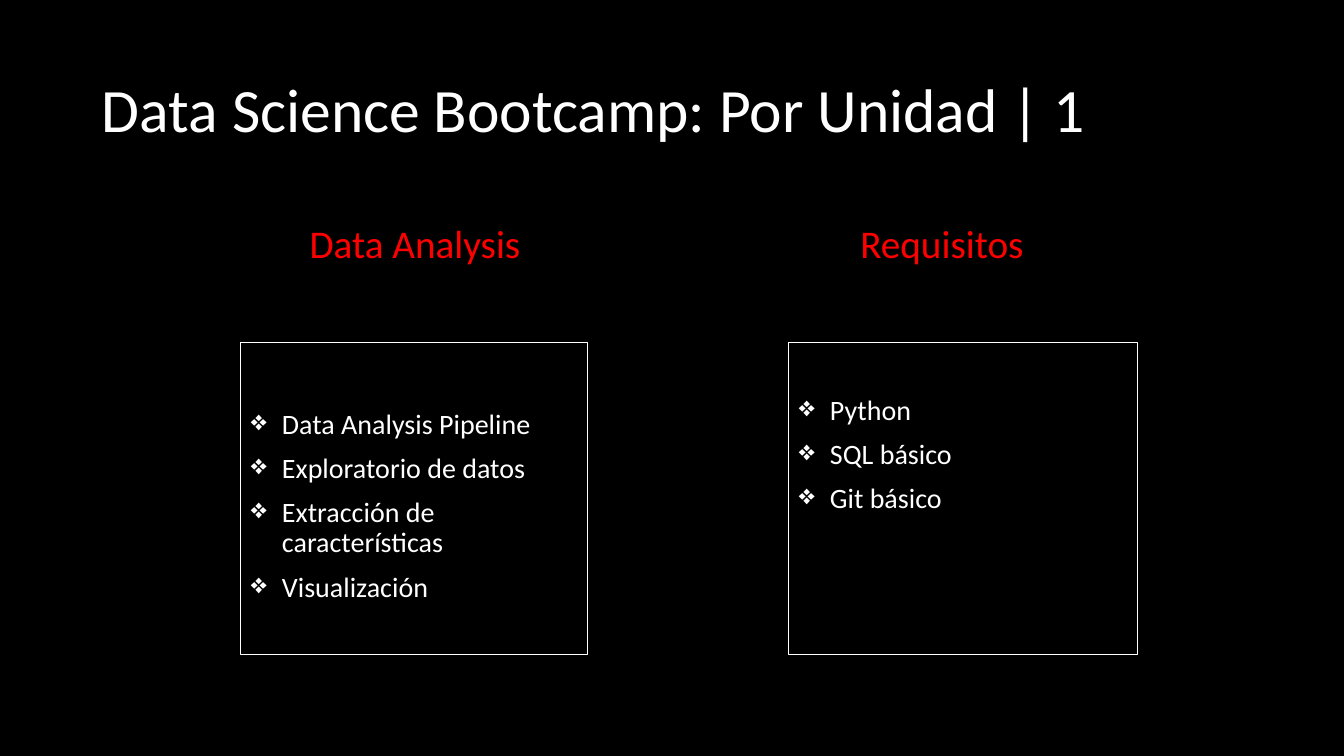
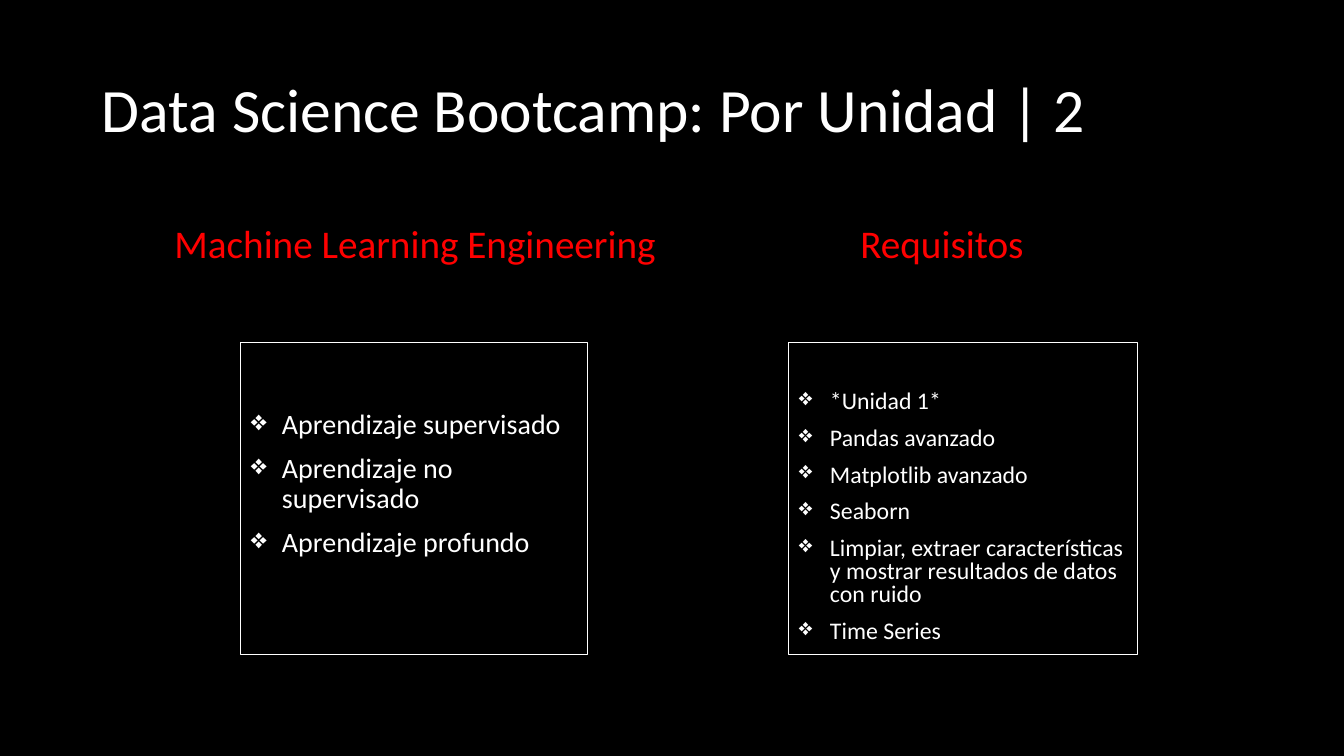
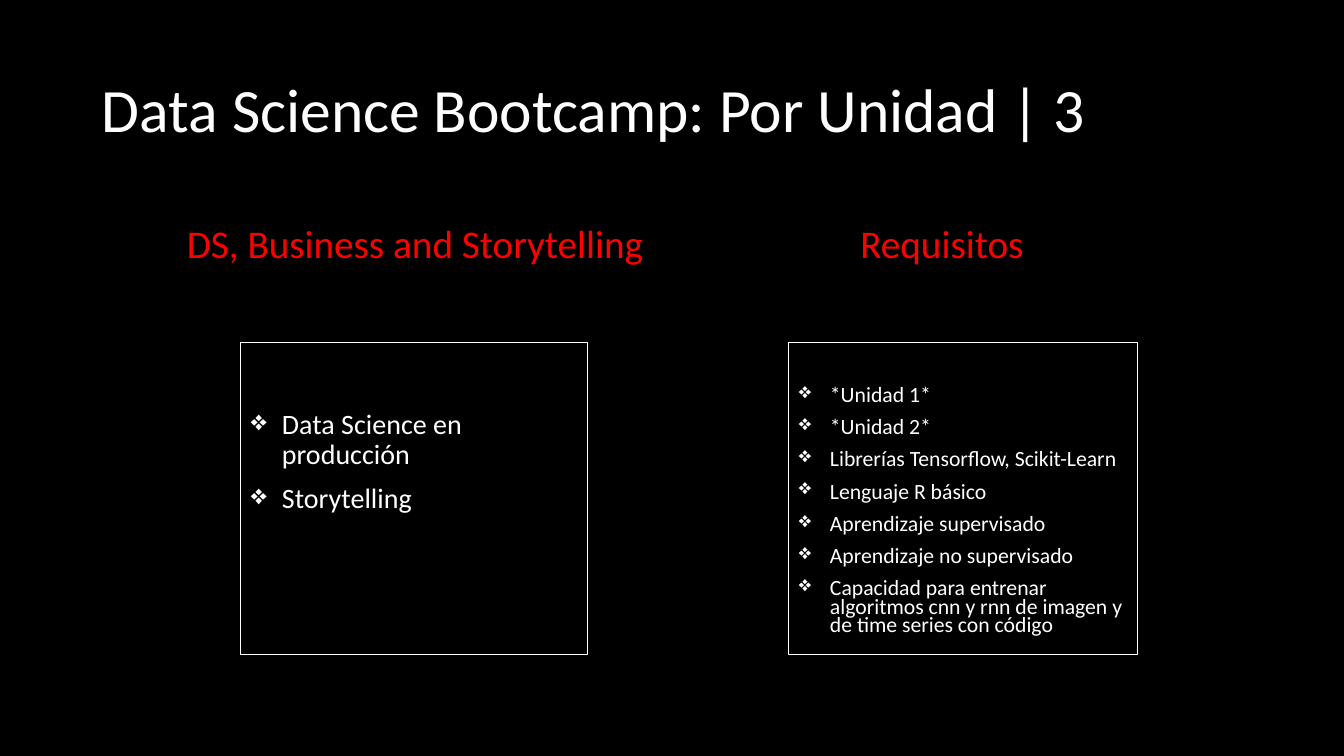
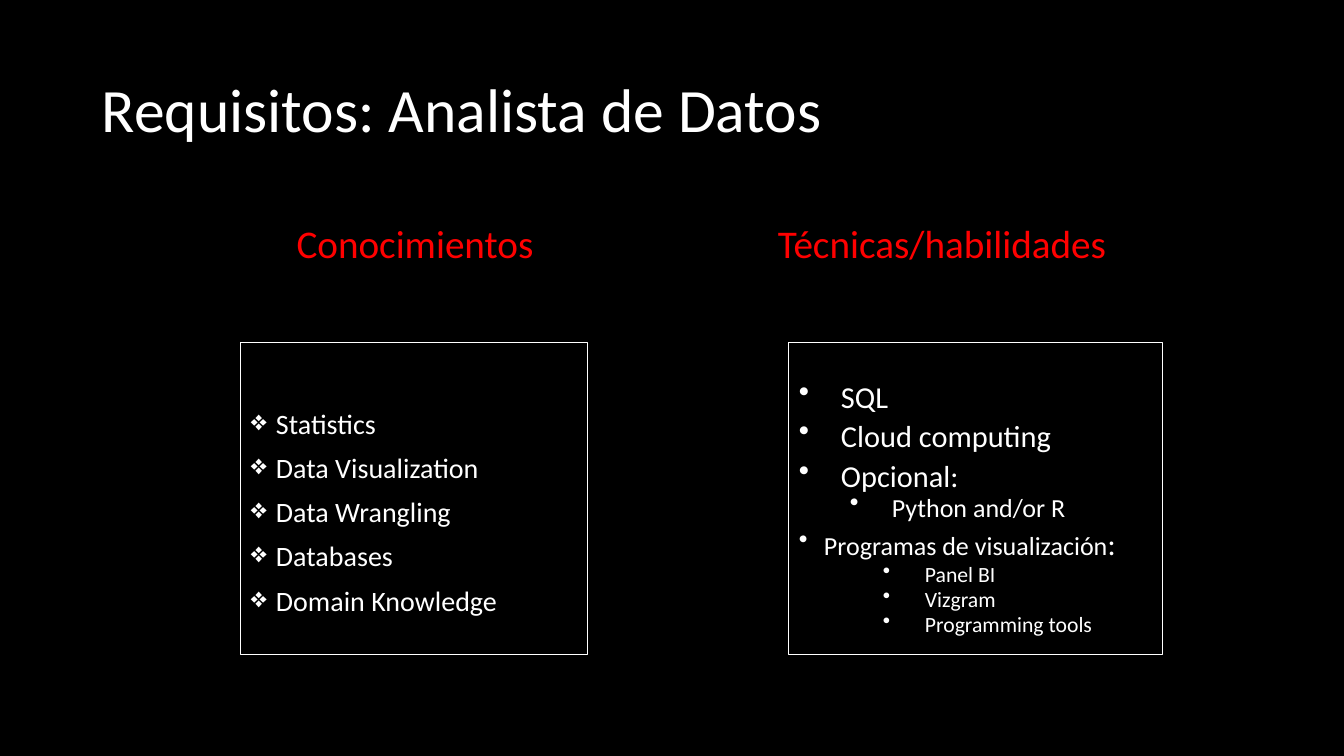
from dataclasses import dataclass

from lxml import etree
from pptx import Presentation
from pptx import util as u
from pptx.dml.color import RGBColor
from pptx.enum import shapes, text
from pptx.oxml.ns import qn

EMU_PER_PX = 914400 / 100.8
FONT = "Calibri"
COLOURS = {"background": "000000", "text": "FFFFFF", "heading": "FF0000"}
LEFT, RIGHT = 0, 1
HEADING_LEFTS = (129, 656)
PANEL_LEFTS = (241, 789)
PANEL_WIDTHS = (347, 349)


@dataclass
class Item:
    """A bulleted line: its (text, size) runs, place and level."""
    runs: list
    indent: int = 31
    hang: int = 31
    level: int = 0
    bullet: str = "❖"


@dataclass
class Panel:
    """A framed list with its heading, top inset and line spacing."""
    heading: str
    items: list
    inset: int = 67
    spacing: float = 0.9
    width: int = 0


def px(length):
    """Turn px into EMU."""
    return u.Emu(round(length * EMU_PER_PX))


def colour(name):
    """Look up a named colour."""
    return RGBColor.from_string(COLOURS[name])


def place(shape, left, top, width, height):
    """Move and size a shape."""
    shape.left, shape.top = px(left), px(top)
    shape.width, shape.height = px(width), px(height)


def set_frame(frame, anchor, top=5):
    """Give a text frame its wrapping, anchor and insets."""
    frame.word_wrap = True
    frame.auto_size = text.MSO_AUTO_SIZE.NONE
    frame.vertical_anchor = anchor
    frame.margin_left = frame.margin_right = px(10)
    frame.margin_top, frame.margin_bottom = px(top), px(5)


def add_run(paragraph, words, size, colour_name="text"):
    """Add one formatted run."""
    run = paragraph.add_run()
    run.text = words
    run.font.name, run.font.size = FONT, u.Pt(size)
    run.font.color.rgb = colour(colour_name)


def set_bullet(paragraph, item):
    """Give a paragraph its bullet and hanging indent."""
    properties = paragraph._p.get_or_add_pPr()
    properties.set("marL", str(px(item.indent)))
    properties.set("indent", str(-px(item.hang)))
    etree.SubElement(properties, qn("a:buChar")).set("char", item.bullet)


def add_heading(slide, column, words):
    """Add the red heading of a column."""
    shape = slide.shapes.add_textbox(0, 0, 0, 0)
    place(shape, HEADING_LEFTS[column], 220, 572, 480)
    set_frame(shape.text_frame, text.MSO_ANCHOR.TOP)
    paragraph = shape.text_frame.paragraphs[0]
    paragraph.alignment = text.PP_ALIGN.CENTER
    paragraph.line_spacing = 0.9
    add_run(paragraph, words, 28, "heading")


def add_panel(slide, column, panel):
    """Add a column: its heading and its framed list."""
    add_heading(slide, column, panel.heading)
    shape = slide.shapes.add_shape(shapes.MSO_SHAPE.RECTANGLE, 0, 0, 0, 0)
    place(shape, PANEL_LEFTS[column], 343, panel.width or PANEL_WIDTHS[column], 312)
    shape.shadow.inherit = False
    shape.fill.background()
    shape.line.color.rgb = colour("text")
    shape.line.width = u.Pt(0.75)
    frame = shape.text_frame
    set_frame(frame, text.MSO_ANCHOR.TOP, panel.inset)
    for number, item in enumerate(panel.items):
        paragraph = frame.add_paragraph() if number else frame.paragraphs[0]
        set_bullet(paragraph, item)
        paragraph.alignment = text.PP_ALIGN.LEFT
        paragraph.level = item.level
        paragraph.line_spacing = panel.spacing
        if number:
            paragraph.space_before = u.Pt(5 if item.level else 10)
        for words, size in item.runs:
            add_run(paragraph, words, size)


def add_slide(presentation, title, left_panel, right_panel):
    """Add a titled slide with two columns."""
    slide = presentation.slides.add_slide(presentation.slide_layouts[5])
    shape = slide.shapes.title
    place(shape, 92, 40, 1159, 146)
    set_frame(shape.text_frame, text.MSO_ANCHOR.MIDDLE)
    paragraph = shape.text_frame.paragraphs[0]
    paragraph.alignment = text.PP_ALIGN.LEFT
    paragraph.line_spacing = 0.9
    add_run(paragraph, title, 44)
    add_panel(slide, LEFT, left_panel)
    add_panel(slide, RIGHT, right_panel)


def items(size, *lines, **options):
    """Make one item of the given size for each line."""
    return [Item([(line, size)], **options) for line in lines]


def main():
    """Build the presentation."""
    presentation = Presentation()
    presentation.slide_width, presentation.slide_height = px(1344), px(756)
    fill = presentation.slide_master.background.fill
    fill.solid()
    fill.fore_color.rgb = colour("background")

    units = [
        (Panel("Data Analysis", items(
            20, "Data Analysis Pipeline", "Exploratorio de datos",
            "Extracción de características", "Visualización")),
         Panel("Requisitos", items(20, "Python", "SQL básico", "Git básico"), 53)),
        (Panel("Machine Learning Engineering", items(
            20, "Aprendizaje supervisado", "Aprendizaje no supervisado",
            "Aprendizaje profundo")),
         Panel("Requisitos", items(
             17, "*Unidad 1*", "Pandas avanzado", "Matplotlib avanzado", "Seaborn",
             "Limpiar, extraer características y mostrar resultados de datos con ruido",
             "Time Series"), 48, 0.8)),
        (Panel("DS, Business and Storytelling", items(
            20, "Data Science en producción", "Storytelling")),
         Panel("Requisitos", items(
             15.5, "*Unidad 1*", "*Unidad 2*", "Librerías Tensorflow, Scikit-Learn",
             "Lenguaje R básico", "Aprendizaje supervisado", "Aprendizaje no supervisado",
             "Capacidad para entrenar algoritmos cnn y rnn de imagen y de time series "
             "con código"), 45, 0.7)),
    ]
    for number, (left_panel, right_panel) in enumerate(units, 1):
        add_slide(presentation, f"Data Science Bootcamp: Por Unidad | {number}",
                  left_panel, right_panel)

    knowledge = items(20, "Statistics", "Data Visualization", "Data Wrangling", "Databases",
                      "Domain Knowledge", indent=25, hang=25)
    skills = [
        *items(21.7, "SQL", "Cloud computing", "Opcional:", indent=42, hang=42, bullet="•"),
        *items(18.6, "Python and/or R", indent=93, hang=42, level=1, bullet="•"),
        Item([("Programas de visualización", 18.6), (":", 21.7)], 25, 25, bullet="•"),
        *items(15.5, "Panel BI", "Vizgram", "Programming tools",
               indent=126, hang=42, level=2, bullet="•"),
    ]
    add_slide(presentation, "Requisitos: Analista de Datos",
              Panel("Conocimientos", knowledge),
              Panel("Técnicas/habilidades", skills, 45, 0.7, 374))
    presentation.save("out.pptx")


if __name__ == "__main__":
    main()
